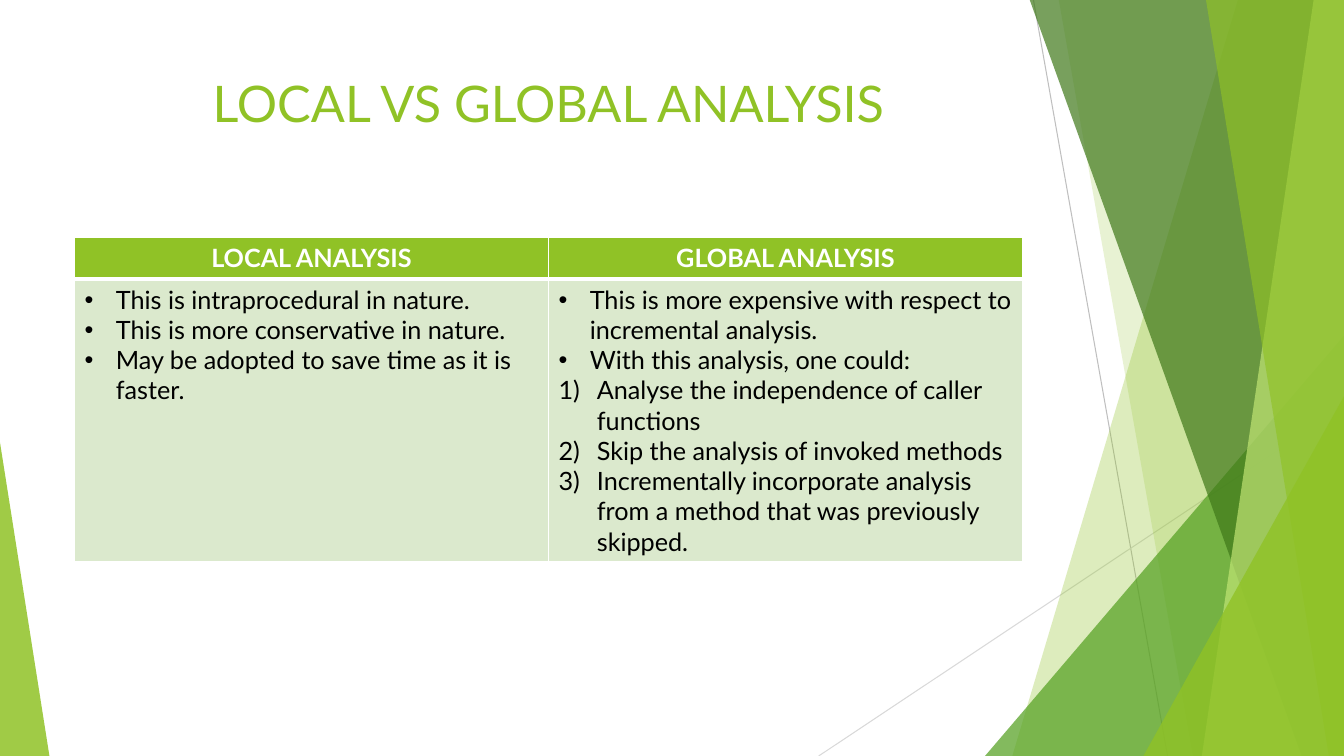
from dataclasses import dataclass

from lxml import etree
from pptx import Presentation
from pptx import oxml, util as u
from pptx.dml.color import RGBColor
from pptx.enum import shapes, text
from pptx.oxml import ns

LIME = RGBColor(0x90, 0xC2, 0x26)
GREEN = RGBColor(0x54, 0xA0, 0x21)
DARK = RGBColor(0x3F, 0x78, 0x19)
PALE = RGBColor(0xC0, 0xE4, 0x74)
MINT = RGBColor(0xDB, 0xE9, 0xCD)
GREY = RGBColor(0xBF, 0xBF, 0xBF)
SILVER = RGBColor(0xD9, 0xD9, 0xD9)
WHITE = RGBColor(0xFF, 0xFF, 0xFF)
BLACK = RGBColor(0, 0, 0)
FONT = "Lato"
WIDE, HIGH, TOP = 13.33, 7.5, -0.01
LEFT, SPAN = 0.74, 9.4


@dataclass
class Ray:
    start: tuple[float, float]
    end: tuple[float, float]
    color: RGBColor


@dataclass
class Band:
    top: float
    base: float
    color: RGBColor
    alpha: int


@dataclass
class Wedge:
    left: float
    top: float
    width: float
    apex: int
    color: RGBColor
    alpha: int


@dataclass
class Item:
    words: str
    number: bool = False


RAYS = [
    Ray((10.25, 0), (11.58, HIGH), GREY),
    Ray((WIDE, 4.03), (8.12, HIGH), SILVER),
]
DECOR = [
    Band(12.28, 10.04, LIME, 30),
    Band(10.5, 11.83, LIME, 20),
    Wedge(9.77, 3.33, 3.56, 1, GREEN, 72),
    Band(10.21, 12.91, DARK, 70),
    Band(13.03, 11.92, PALE, 70),
    Band(11.96, 13.18, LIME, 65),
    Wedge(11.34, 3.93, 1.99, 1, LIME, 80),
    Wedge(0, 4.39, 0.49, 0, LIME, 85),
]
HEADS = ["LOCAL ANALYSIS", "GLOBAL ANALYSIS"]
LISTS = [
    [
        Item("This is intraprocedural in nature."),
        Item("This is more conservative in nature."),
        Item("May be adopted to save time as it is faster."),
    ],
    [
        Item("This is more expensive with respect to incremental analysis."),
        Item("With this analysis, one could:"),
        Item("Analyse the independence of caller functions", True),
        Item("Skip the analysis of invoked methods", True),
        Item("Incrementally incorporate analysis from a method that was "
             "previously skipped.", True),
    ],
]


def style(obj, form: dict) -> None:
    for name, value in form.items():
        setattr(obj, name, value)


def write(para, words: str, size: int, color: RGBColor, bold: bool) -> None:
    run = para.add_run()
    run.text = words
    style(run.font, {"name": FONT, "size": u.Pt(size), "bold": bold})
    run.font.color.rgb = color


def tint(shape, color: RGBColor, alpha: int) -> None:
    shape.shadow.inherit = False
    shape.fill.solid()
    shape.fill.fore_color.rgb = color
    shape.line.fill.background()
    tone = shape.fill._xPr.find(".//" + ns.qn("a:srgbClr"))
    etree.SubElement(tone, ns.qn("a:alpha")).set("val", str(alpha * 1000))


def draw_ray(slide, ray: Ray) -> None:
    ends = [u.Inches(v) for v in ray.start + ray.end]
    line = slide.shapes.add_connector(shapes.MSO_CONNECTOR.STRAIGHT, *ends)
    line.line.color.rgb = ray.color
    line.line.width = u.Pt(0.75)
    etree.SubElement(line._element.spPr, ns.qn("a:effectLst"))


def draw_band(slide, band: Band) -> None:
    spots = [(band.top, TOP), (WIDE, TOP), (WIDE, HIGH), (band.base, HIGH)]
    first, *rest = [(u.Inches(x), u.Inches(y)) for x, y in spots]
    form = slide.shapes.build_freeform(*first)
    form.add_line_segments(rest, close=True)
    tint(form.convert_to_shape(), band.color, band.alpha)


def draw_wedge(slide, wedge: Wedge) -> None:
    box = (wedge.left, wedge.top, wedge.width, HIGH - wedge.top)
    shape = slide.shapes.add_shape(
        shapes.MSO_SHAPE.ISOSCELES_TRIANGLE, *[u.Inches(v) for v in box])
    shape.adjustments[0] = wedge.apex
    tint(shape, wedge.color, wedge.alpha)


def draw_title(slide) -> None:
    title = slide.shapes.title
    style(title, {"left": u.Inches(LEFT), "top": u.Inches(0.67),
                  "width": u.Inches(SPAN), "height": u.Inches(1.44)})
    style(title.text_frame, {"vertical_anchor": text.MSO_ANCHOR.TOP,
                             "word_wrap": True})
    para = title.text_frame.paragraphs[0]
    para.alignment = text.PP_ALIGN.CENTER
    write(para, "LOCAL VS GLOBAL ANALYSIS", 36, LIME, False)


def finish(cell, color: RGBColor, edges: dict[str, int]) -> None:
    props = cell._tc.get_or_add_tcPr()
    for side, width in edges.items():
        props.append(oxml.parse_xml(
            f'<a:ln{side} {ns.nsdecls("a")} w="{u.Pt(width)}"><a:solidFill>'
            f'<a:srgbClr val="{WHITE}"/></a:solidFill></a:ln{side}>'))
    cell.fill.solid()
    cell.fill.fore_color.rgb = color


def mark(para, number: bool) -> None:
    props = para._p.get_or_add_pPr()
    indent = u.Inches(0.38 if number else 0.31)
    props.set("marL", str(indent))
    props.set("indent", str(-indent))
    if number:
        etree.SubElement(props, ns.qn("a:buAutoNum")).set(
            "type", "arabicParenR")
    else:
        etree.SubElement(props, ns.qn("a:buFont")).set("typeface", "Arial")
        etree.SubElement(props, ns.qn("a:buChar")).set("char", "•")


def draw_table(slide) -> None:
    box = [u.Inches(v) for v in (LEFT, 2.36, SPAN, 3.21)]
    table = slide.shapes.add_table(2, len(HEADS), *box).table
    style(table, {"first_row": False, "horz_banding": False})
    for row, height in zip(table.rows, (0.41, 2.8)):
        row.height = u.Inches(height)
    for col, (head, items) in enumerate(zip(HEADS, LISTS)):
        table.columns[col].width = u.Inches(SPAN / len(HEADS))
        cell = table.cell(0, col)
        para = cell.text_frame.paragraphs[0]
        para.alignment = text.PP_ALIGN.CENTER
        write(para, head, 18, WHITE, True)
        finish(cell, LIME, {"L": 1, "R": 1, "T": 1, "B": 3})
        cell = table.cell(1, col)
        frame = cell.text_frame
        for index, item in enumerate(items):
            para = frame.add_paragraph() if index else frame.paragraphs[0]
            mark(para, item.number)
            write(para, item.words, 18, BLACK, False)
        finish(cell, MINT, {"L": 1, "R": 1, "T": 3, "B": 1})


def main() -> None:
    deck = Presentation()
    style(deck, {"slide_width": u.Inches(WIDE),
                 "slide_height": u.Inches(HIGH)})
    slide = deck.slides.add_slide(deck.slide_layouts[5])
    for ray in RAYS:
        draw_ray(slide, ray)
    for part in DECOR:
        if isinstance(part, Band):
            draw_band(slide, part)
        else:
            draw_wedge(slide, part)
    draw_title(slide)
    draw_table(slide)
    deck.save("out.pptx")


if __name__ == "__main__":
    main()
